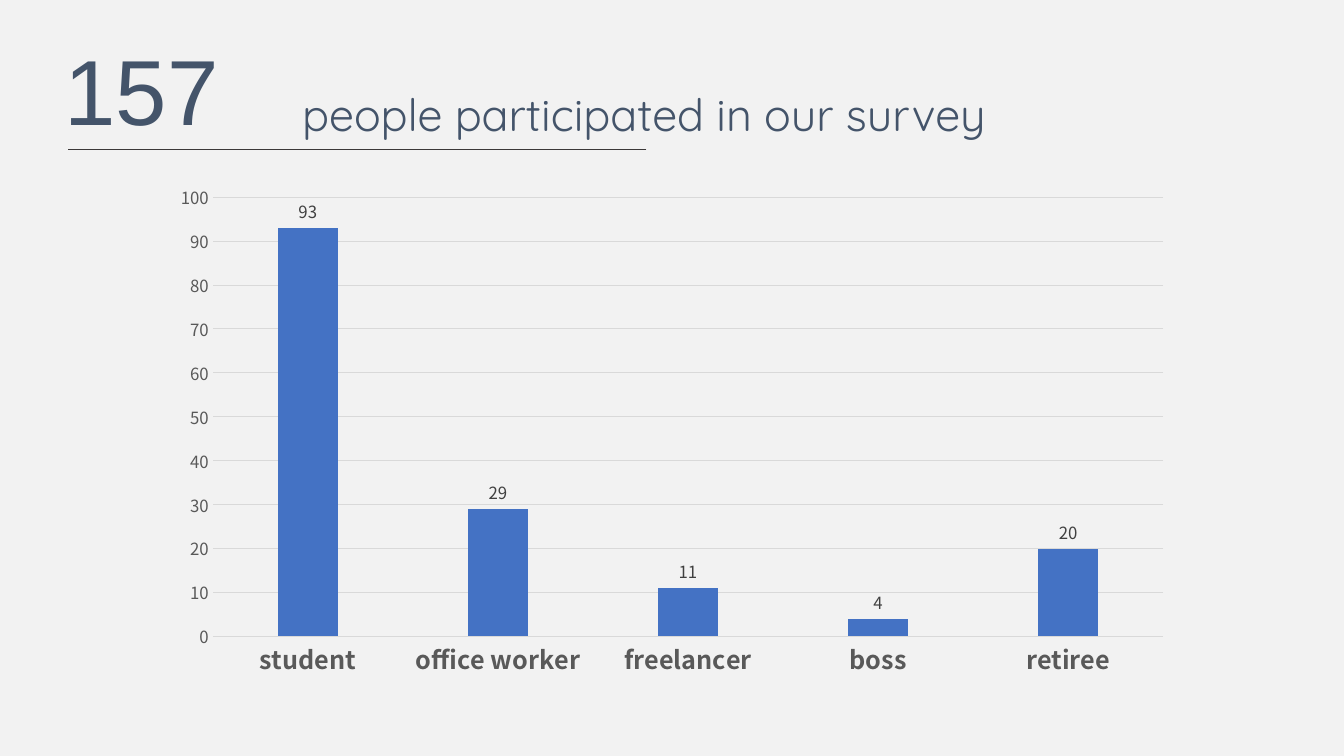
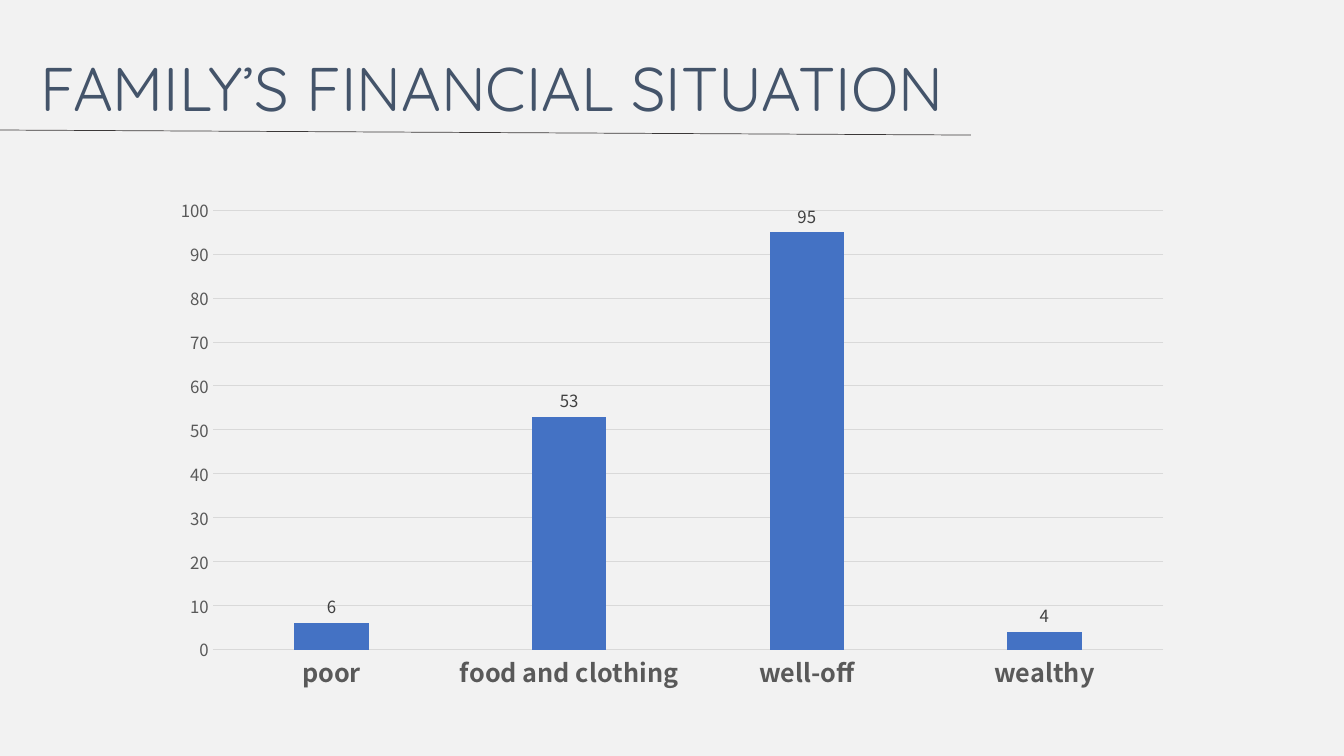
from pptx import Presentation
from pptx import util as u
from pptx.chart.data import CategoryChartData
from pptx.dml.color import RGBColor
from pptx.enum import chart as charts, shapes, text
from pptx.oxml.ns import qn
from lxml import etree

BACKGROUND, TITLE, RULE = "F2F2F2", "44546A", "3B3838"
BAR, GRID, AXIS_TEXT, LABEL_TEXT = "4472C4", "D9D9D9", "595959", "404040"
TITLE_FONT, NUMBER_FONT, CHART_FONT = "Quicksand", "Arial", "Noto Sans CJK SC"
LEFT, RIGHT = text.PP_ALIGN.LEFT, text.PP_ALIGN.RIGHT
CHART_LEFT, CHART_WIDTH, CHART_HEIGHT = 1.59, 10.15, 5.09

# Titles: words, box, size, font, alignment, line spacing
SLIDES = [
    {
        "titles": [
            ("people participated in our survey", (2.44, 0.28, 7.44, 1.01),
             32, TITLE_FONT, RIGHT, 2.0),
            ("157", (0.54, 0.28, 1.9, 1.21), 66, NUMBER_FONT, LEFT, 1.0),
        ],
        "rule": ((6.41, 1.48), (0.67, 1.48)),
        "chart_top": 1.73,
        "answers": {"student": 93, "office worker": 29, "freelancer": 11,
                    "boss": 4, "retiree": 20},
    },
    {
        "titles": [
            ("FAMILY’S FINANCIAL SITUATION", (0.3, 0.45, 9.33, 0.84),
             44, TITLE_FONT, LEFT, 1.0),
        ],
        "rule": ((9.63, 1.34), (0, 1.29)),
        "chart_top": 1.86,
        "answers": {"poor": 6, "food and clothing": 53, "well-off": 95,
                    "wealthy": 4},
    },
]


def color(value):
    """Turn a hex string into a colour."""
    return RGBColor.from_string(value)


def set_font(font, name, size, hex_color, bold=False):
    """Set the face, size, colour and weight of a font."""
    font.name, font.size, font.bold = name, u.Pt(size), bold
    font.color.rgb = color(hex_color)


def set_line(line, hex_color, width):
    """Set the colour and width in points of a line."""
    line.color.rgb = color(hex_color)
    line.width = u.Pt(width)


def add_title(slide, words, box, size, font_name, alignment, spacing):
    """Add one piece of the heading."""
    frame = slide.shapes.add_textbox(*map(u.Inches, box)).text_frame
    frame.text = words
    frame.word_wrap = False
    frame.auto_size = text.MSO_AUTO_SIZE.SHAPE_TO_FIT_TEXT
    paragraph = frame.paragraphs[0]
    paragraph.alignment = alignment
    paragraph.line_spacing = spacing
    set_font(paragraph.runs[0].font, font_name, size, TITLE)


def add_rule(slide, start, end):
    """Add the thin line under the heading."""
    rule = slide.shapes.add_connector(shapes.MSO_CONNECTOR.STRAIGHT,
                                      *map(u.Inches, start + end))
    set_line(rule.line, RULE, 0.5)
    etree.SubElement(rule._element.spPr, qn("a:effectLst"))


def style_axis(axis, size, bold):
    """Give an axis its text style and no tick marks."""
    axis.major_tick_mark = axis.minor_tick_mark = charts.XL_TICK_MARK.NONE
    set_font(axis.tick_labels.font, CHART_FONT, size, AXIS_TEXT, bold)


def add_bar_chart(slide, top, answers):
    """Add the column chart of the answers."""
    data = CategoryChartData()
    data.categories = list(answers)
    data.add_series("Series 1", list(answers.values()))
    box = map(u.Inches, (CHART_LEFT, top, CHART_WIDTH, CHART_HEIGHT))
    chart = slide.shapes.add_chart(charts.XL_CHART_TYPE.COLUMN_CLUSTERED,
                                   *box, data).chart
    chart.has_legend = chart.has_title = False
    set_font(chart.font, CHART_FONT, 10, "000000")

    style_axis(chart.category_axis, 18, True)
    set_line(chart.category_axis.format.line, GRID, 0.75)
    values = chart.value_axis
    style_axis(values, 12, False)
    values.minimum_scale, values.maximum_scale, values.major_unit = 0, 100, 10
    values.format.line.fill.background()
    set_line(values.major_gridlines.format.line, GRID, 0.75)

    plot = chart.plots[0]
    plot.gap_width, plot.overlap, plot.vary_by_categories = 219, -27, False
    bars = plot.series[0]
    bars.format.fill.solid()
    bars.format.fill.fore_color.rgb = color(BAR)
    labels = bars.data_labels
    labels.show_value = True
    labels.position = charts.XL_LABEL_POSITION.OUTSIDE_END
    set_font(labels.font, CHART_FONT, 12, LABEL_TEXT)


def build():
    """Build and save the presentation."""
    presentation = Presentation()
    presentation.slide_width = u.Inches(13.33)
    presentation.slide_height = u.Inches(7.5)
    for content in SLIDES:
        slide = presentation.slides.add_slide(presentation.slide_layouts[6])
        slide.background.fill.solid()
        slide.background.fill.fore_color.rgb = color(BACKGROUND)
        for title in content["titles"]:
            add_title(slide, *title)
        add_rule(slide, *content["rule"])
        add_bar_chart(slide, content["chart_top"], content["answers"])
    presentation.save("out.pptx")


build()
